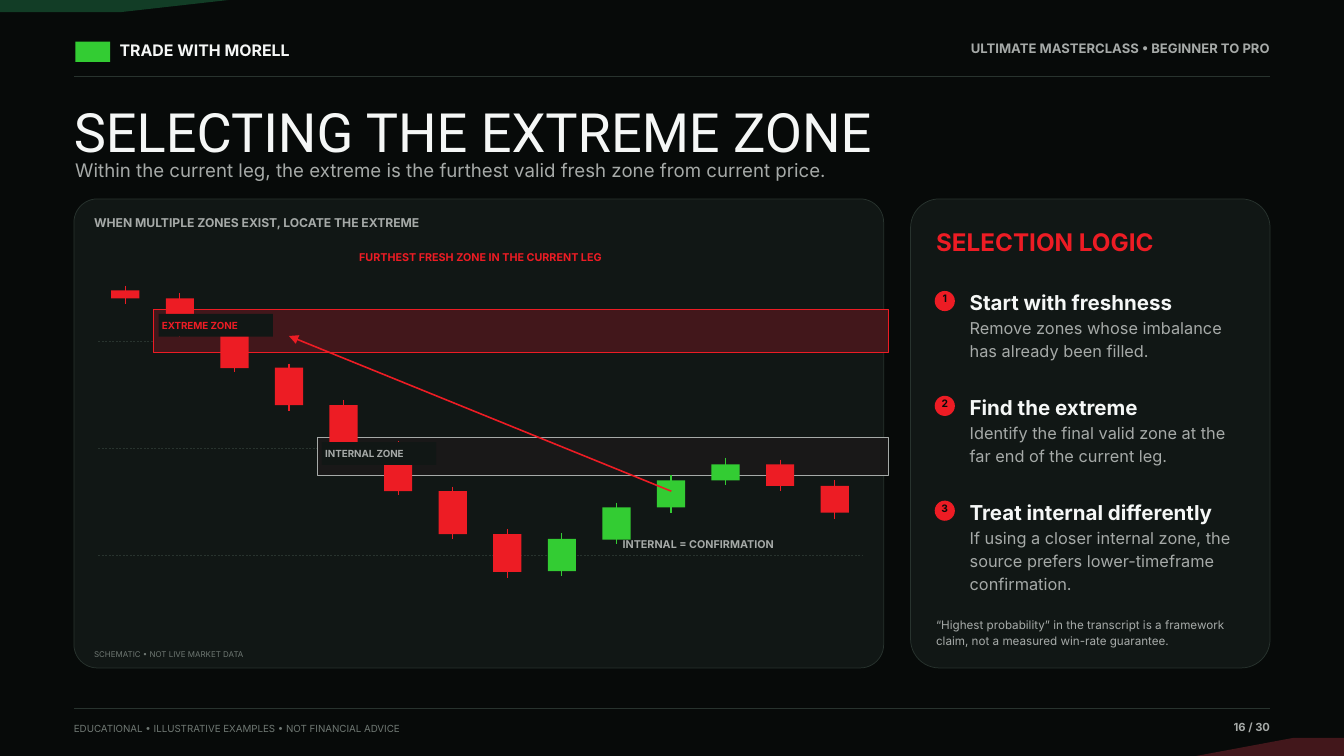
import pptx
import pptx.util
from pptx.dml.color import RGBColor
from pptx.enum.dml import MSO_LINE
from pptx.enum.shapes import MSO_CONNECTOR, MSO_SHAPE
from pptx.enum.text import MSO_ANCHOR, PP_ALIGN
from pptx.oxml.ns import qn
from lxml import etree

PX = 9144  # EMU in one px; 100 px to the inch


class Theme:
    night, panel, rule = "070A09", "111715", "28332E"
    white, grey, dim = "F5F7F6", "A6AAA8", "6F7873"
    green, red = "33CC33", "ED1C24"
    deep_green, deep_red, internal = "123D26", "42171B", "191818"
    body_font, title_font = "Inter", "Roboto"
    title, logic, step, subtitle, detail, brand = 58, 26, 22, 20, 17.5, 17
    course, heading, note, page, callout = 14, 13, 12.5, 12, 11.5
    number, label, small = 11, 10.5, 8.5


# Content
BRAND = "TRADE WITH MORELL"
COURSE = "ULTIMATE MASTERCLASS • BEGINNER TO PRO"
TITLE = "SELECTING THE EXTREME ZONE"
SUBTITLE = ("Within the current leg, the extreme is the furthest valid fresh "
            "zone from current price.")
DISCLAIMER = "EDUCATIONAL • ILLUSTRATIVE EXAMPLES • NOT FINANCIAL ADVICE"
PAGE = "16 / 30"
CHART_HEADING = "WHEN MULTIPLE ZONES EXIST, LOCATE THE EXTREME"
CHART_NOTE = "SCHEMATIC • NOT LIVE MARKET DATA"

# Candles: wick top, body top, body bottom, wick bottom, colour
CANDLES = [
    (425, 432, 444, 452, Theme.red),
    (436, 444, 492, 501, Theme.red),
    (482, 492, 548, 554, Theme.red),
    (541, 547, 603, 611, Theme.red),
    (595, 603, 667, 677, Theme.red),
    (657, 667, 731, 737, Theme.red),
    (724, 731, 795, 802, Theme.red),
    (787, 795, 851, 860, Theme.red),
    (793, 802, 850, 857, Theme.green),
    (748, 755, 803, 810, Theme.green),
    (707, 715, 755, 764, Theme.green),
    (681, 691, 715, 721, Theme.green),
    (684, 691, 723, 731, Theme.red),
    (715, 723, 763, 772, Theme.red),
]
# Zones: name, left, top, height, fill, accent
ZONES = [
    ("EXTREME ZONE", 229, 460, 64, Theme.deep_red, Theme.red),
    ("INTERNAL ZONE", 472, 651, 56, Theme.internal, Theme.grey),
]
STEPS = [
    ("Start with freshness",
     "Remove zones whose imbalance\nhas already been filled."),
    ("Find the extreme",
     "Identify the final valid zone at the\nfar end of the current leg."),
    ("Treat internal differently",
     "If using a closer internal zone, the\nsource prefers lower-timeframe\n"
     "confirmation."),
]
CAVEAT = ("“Highest probability” in the transcript is a framework\n"
          "claim, not a measured win-rate guarantee.")

deck = pptx.Presentation()
deck.slide_width, deck.slide_height = 2000 * PX, 1125 * PX
slide = deck.slides.add_slide(deck.slide_layouts[6])
slide.background.fill.solid()
slide.background.fill.fore_color.rgb = RGBColor.from_string(Theme.night)


def emu(*lengths):
    return [round(length * PX) for length in lengths]


def paint(shape, fill, outline=None, weight=0.9):
    shape.shadow.inherit = False
    shape.fill.solid()
    shape.fill.fore_color.rgb = RGBColor.from_string(fill)
    if outline:
        shape.line.color.rgb = RGBColor.from_string(outline)
        shape.line.width = pptx.util.Pt(weight)
    else:
        shape.line.fill.background()


def block(left, top, width, height, fill, kind=MSO_SHAPE.RECTANGLE,
          radius=None, **outline):
    shape = slide.shapes.add_shape(kind, *emu(left, top, width, height))
    if radius is not None:
        shape.adjustments[0] = radius
    paint(shape, fill, **outline)


def line(x1, y1, x2, y2, color, weight, dashed=False, arrow=False):
    stroke = slide.shapes.add_connector(MSO_CONNECTOR.STRAIGHT, *emu(x1, y1, x2, y2))
    stroke.line.color.rgb = RGBColor.from_string(color)
    stroke.line.width = pptx.util.Pt(weight)
    if dashed:
        stroke.line.dash_style = MSO_LINE.DASH
    if arrow:
        etree.SubElement(stroke.line._get_or_add_ln(), qn("a:tailEnd"),
                         type="triangle", w="lg", len="lg")
    etree.SubElement(stroke._element.spPr, qn("a:effectLst"))


def corner(points, fill):
    outline = slide.shapes.build_freeform(*points[0], scale=PX)
    outline.add_line_segments(points[1:], close=True)
    paint(outline.convert_to_shape(), fill)


def write(text, left, top, width, height, size, color=Theme.grey, bold=False,
          align=PP_ALIGN.LEFT, font=Theme.body_font, spacing=1.18):
    frame = slide.shapes.add_textbox(*emu(left, top, width, height)).text_frame
    frame.margin_left = frame.margin_top = 0
    frame.margin_right = frame.margin_bottom = 0
    frame.word_wrap, frame.vertical_anchor = True, MSO_ANCHOR.TOP
    frame.text = text
    for paragraph in frame.paragraphs:
        paragraph.alignment, paragraph.line_spacing = align, spacing
        paragraph.font.name, paragraph.font.bold = font, bold
        paragraph.font.size = pptx.util.Pt(size)
        paragraph.font.color.rgb = RGBColor.from_string(color)


# Corners, header and footer
corner([(0, 0), (340, 0), (180, 18), (0, 18)], Theme.deep_green)
corner([(2000, 1125), (1780, 1125), (1925, 1098), (2000, 1098)], Theme.deep_red)
block(112, 62, 52, 30, Theme.green)
write(BRAND, 178, 56, 390, 34, Theme.brand, Theme.white, bold=True)
write(COURSE, 1400, 56, 490, 32, Theme.course, bold=True, align=PP_ALIGN.RIGHT)
for rule_y in (113, 1054):
    line(110, rule_y, 1890, rule_y, Theme.rule, 0.8)
write(DISCLAIMER, 110, 1072, 800, 25, Theme.label, Theme.dim)
write(PAGE, 1720, 1068, 170, 28, Theme.page, bold=True, align=PP_ALIGN.RIGHT)
write(TITLE, 110, 146, 1780, 88, Theme.title, Theme.white,
      font=Theme.title_font, spacing=1.0)
write(SUBTITLE, 112, 230, 1720, 43, Theme.subtitle)

# Chart panel with its grid
block(110, 296, 1205, 698, Theme.panel, MSO_SHAPE.ROUNDED_RECTANGLE, 0.05,
      outline=Theme.rule, weight=0.8)
write(CHART_HEADING, 140, 316, 1145, 28, Theme.heading, bold=True)
for level in range(3):
    grid_y = 826 - 159 * level
    line(146, grid_y, 1283, grid_y, Theme.rule, 0.55, dashed=True)
write(CHART_NOTE, 140, 964, 1145, 18, Theme.small, Theme.dim)

# Zones lie behind the candles, their labels in front
ZONE_RIGHT = 1322
for _, left, top, height, fill, accent in ZONES:
    block(left, top, ZONE_RIGHT - left, height, fill, outline=accent)

FIRST_X, CANDLE_STEP, BODY_WIDTH = 186.5, 81.2, 42
for i, (high, body_top, body_bottom, low, color) in enumerate(CANDLES):
    x = FIRST_X + CANDLE_STEP * i
    line(x, high, x, low, color, 1.15)
    block(x - BODY_WIDTH / 2, body_top, BODY_WIDTH, body_bottom - body_top, color)

for name, left, top, _, _, accent in ZONES:
    block(left + 7, top + 7, 170, 34, Theme.panel)
    write(name, left + 12, top + 12, 160, 25, Theme.label, accent, bold=True)

# Path from current price to the extreme
line(999, 731, 430, 500, Theme.red, 1.7, arrow=True)
write("FURTHEST FRESH ZONE IN THE CURRENT LEG", 475, 370, 480, 30,
      Theme.callout, Theme.red, bold=True, align=PP_ALIGN.CENTER)
write("INTERNAL = CONFIRMATION", 879, 797, 320, 30,
      Theme.callout, bold=True, align=PP_ALIGN.CENTER)

# Selection logic panel
block(1355, 296, 535, 698, Theme.panel, MSO_SHAPE.ROUNDED_RECTANGLE, 0.08,
      outline=Theme.rule, weight=0.8)
write("SELECTION LOGIC", 1393, 330, 460, 68, Theme.logic, Theme.red, bold=True)
for i, (step, detail) in enumerate(STEPS):
    y = 425 + 156 * i
    block(1391, y + 8, 30, 30, Theme.red, MSO_SHAPE.OVAL)
    write(str(i + 1), 1393, y + 7, 26, 23, Theme.number, Theme.night,
          bold=True, align=PP_ALIGN.CENTER)
    write(step, 1443, y, 403, 36, Theme.step, Theme.white, bold=True)
    write(detail, 1443, y + 43, 403, 108, Theme.detail)
write(CAVEAT, 1393, 915, 452, 48, Theme.note)

deck.save("out.pptx")
